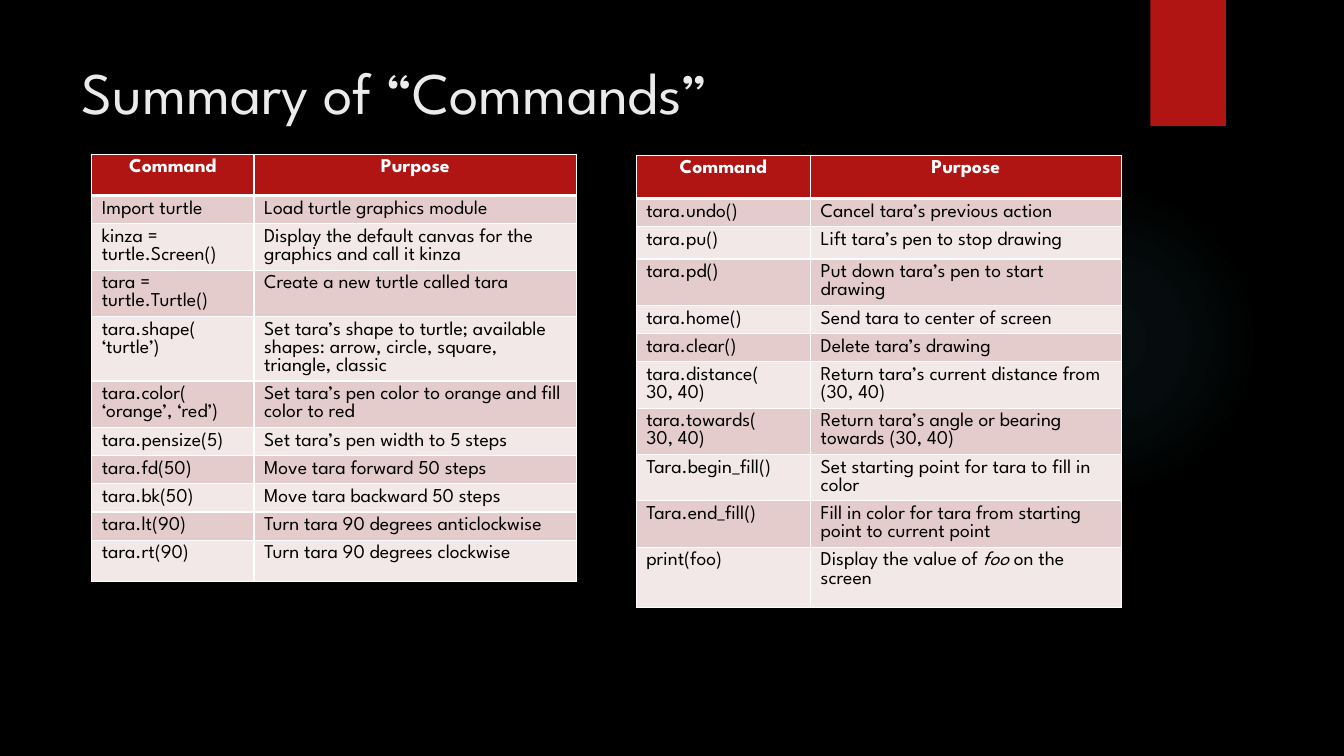
"""Build a slide that summarises turtle graphics commands in two tables."""
from dataclasses import dataclass

import pptx
import pptx.dml.color
import pptx.enum.shapes
import pptx.enum.text
import pptx.oxml
import pptx.oxml.ns
import pptx.slide
import pptx.table
import pptx.util
from pptx.util import Inches

FONT = "League Spartan"
COLORS = {
    "background": "000000",
    "accent": "B01513",
    "glow": "50B9C1",
    "title": "EBEBEB",
    "header_text": "FFFFFF",
    "body_text": "000000",
    "border": "FFFFFF",
    "odd_row": "E4CCCC",
    "even_row": "F2E8E7",
}
GLOW_STOPS = [(0, 7), (36, 6), (69, 0)]
NS = pptx.oxml.ns.nsdecls("a")


@dataclass
class CommandTable:
    left: float
    top: float
    col_widths: list[float]
    row_heights: list[float]
    rows: list[tuple[str, str]]


HEADER = ("Command", "Purpose")
TABLES = [
    CommandTable(
        0.91, 1.53, [1.61, 3.2],
        [0.41, 0.28, 0.46, 0.46, 0.64, 0.46, 0.28, 0.28, 0.28, 0.28, 0.41],
        [
            HEADER,
            ("Import turtle", "Load turtle graphics module"),
            ("kinza = turtle.Screen()", "Display the default canvas for the graphics and call it kinza"),
            ("tara = turtle.Turtle()", "Create a new turtle called tara"),
            ("tara.shape(\v‘turtle’)",
             "Set tara’s shape to turtle; available shapes: arrow, circle, square, triangle, classic"),
            ("tara.color(\v‘orange’, ‘red’)", "Set tara’s pen color to orange and fill color to red"),
            ("tara.pensize(5)", "Set tara’s pen width to 5 steps"),
            ("tara.fd(50)", "Move tara forward 50 steps"),
            ("tara.bk(50)", "Move tara backward 50 steps"),
            ("tara.lt(90)", "Turn tara 90 degrees anticlockwise"),
            ("tara.rt(90)", "Turn tara 90 degrees clockwise"),
        ],
    ),
    CommandTable(
        6.31, 1.54, [1.73, 3.08],
        [0.43, 0.28, 0.32, 0.46, 0.28, 0.28, 0.46, 0.46, 0.46, 0.46, 0.6],
        [
            HEADER,
            ("tara.undo()", "Cancel tara’s previous action"),
            ("tara.pu()", "Lift tara’s pen to stop drawing"),
            ("tara.pd()", "Put down tara’s pen to start drawing"),
            ("tara.home()", "Send tara to center of screen"),
            ("tara.clear()", "Delete tara’s drawing"),
            ("tara.distance(\v30, 40)", "Return tara’s current distance from (30, 40)"),
            ("tara.towards(\v30, 40)", "Return tara’s angle or bearing towards (30, 40)"),
            ("Tara.begin_fill()", "Set starting point for tara to fill in color"),
            ("Tara.end_fill()", "Fill in color for tara from starting point to current point"),
            ("print(foo)", "Display the value of *foo* on the screen"),
        ],
    ),
]


def rgb(name: str) -> pptx.dml.color.RGBColor:
    return pptx.dml.color.RGBColor.from_string(COLORS[name])


def write(p, text: str, size: int, color: str, bold: bool = False) -> None:
    first, *rest = text.split("*")
    p.text = first
    for part in rest:
        p.add_run().text = part
    for i, r in enumerate(p.runs):
        r.font.name = FONT
        r.font.size = pptx.util.Pt(size)
        r.font.bold = bold
        r.font.color.rgb = rgb(color)
        if rest:
            r.font.italic = i % 2 == 1
    for br in p._p.findall(pptx.oxml.ns.qn("a:br")):
        br.append(pptx.oxml.parse_xml(
            f'<a:rPr {NS} sz="{size * 100}"><a:latin typeface="{FONT}"/></a:rPr>'))


def set_borders(cell: pptx.table._Cell, row: int) -> None:
    widths = {"L": 1, "R": 1, "T": 3 if row == 1 else 1, "B": 3 if row == 0 else 1}
    tc_pr = cell._tc.get_or_add_tcPr()
    for side, width in widths.items():
        tc_pr.append(pptx.oxml.parse_xml(
            f'<a:ln{side} {NS} w="{width * 12700}"><a:solidFill>'
            f'<a:srgbClr val="{COLORS["border"]}"/></a:solidFill></a:ln{side}>'))


def add_glow(s: pptx.slide.Slide) -> None:
    sp = s.shapes.add_shape(pptx.enum.shapes.MSO_SHAPE.OVAL,
                            Inches(9.41), Inches(1.83), Inches(3.08), Inches(3.08))
    sp.shadow.inherit = False
    sp.line.fill.background()
    sp.fill.background()
    stops = "".join(
        f'<a:gs pos="{pos * 1000}"><a:srgbClr val="{COLORS["glow"]}">'
        f'<a:alpha val="{alpha * 1000}"/></a:srgbClr></a:gs>'
        for pos, alpha in GLOW_STOPS)
    gradient = pptx.oxml.parse_xml(
        f'<a:gradFill {NS}><a:gsLst>{stops}</a:gsLst><a:path path="circle">'
        '<a:fillToRect l="50000" t="50000" r="50000" b="50000"/></a:path></a:gradFill>')
    sp_pr = sp._element.spPr
    sp_pr.replace(sp_pr.find(pptx.oxml.ns.qn("a:noFill")), gradient)


def add_ribbon(s: pptx.slide.Slide) -> None:
    sp = s.shapes.add_shape(pptx.enum.shapes.MSO_SHAPE.RECTANGLE,
                            Inches(11.41), 0, Inches(0.75), Inches(1.25))
    sp.shadow.inherit = False
    sp.line.fill.background()
    sp.fill.solid()
    sp.fill.fore_color.rgb = rgb("accent")


def add_title(s: pptx.slide.Slide) -> None:
    sp = s.shapes.add_textbox(Inches(0.71), Inches(0.5), Inches(10.29), Inches(1.53))
    tf = sp.text_frame
    tf.word_wrap = True
    write(tf.paragraphs[0], "Summary of “Commands”", 42, "title")


def add_commands(s: pptx.slide.Slide, spec: CommandTable) -> None:
    table = s.shapes.add_table(
        len(spec.rows), len(spec.col_widths), Inches(spec.left), Inches(spec.top),
        Inches(sum(spec.col_widths)), Inches(sum(spec.row_heights))).table
    for column, width in zip(table.columns, spec.col_widths):
        column.width = Inches(width)
    for i, (texts, height) in enumerate(zip(spec.rows, spec.row_heights)):
        table.rows[i].height = Inches(height)
        is_header = i == 0
        fill = "accent" if is_header else "odd_row" if i % 2 else "even_row"
        for j, text in enumerate(texts):
            cell = table.cell(i, j)
            set_borders(cell, i)
            cell.fill.solid()
            cell.fill.fore_color.rgb = rgb(fill)
            p = cell.text_frame.paragraphs[0]
            write(p, text, 14, "header_text" if is_header else "body_text", is_header)
            p.line_spacing = pptx.util.Pt(12.9)
            if is_header:
                p.alignment = pptx.enum.text.PP_ALIGN.CENTER


def main() -> None:
    prs = pptx.Presentation()
    prs.slide_width, prs.slide_height = Inches(13.33), Inches(7.5)
    s = prs.slides.add_slide(prs.slide_layouts[6])
    s.background.fill.solid()
    s.background.fill.fore_color.rgb = rgb("background")
    add_glow(s)
    add_ribbon(s)
    add_title(s)
    for commands in TABLES:
        add_commands(s, commands)
    prs.save("out.pptx")


if __name__ == "__main__":
    main()
